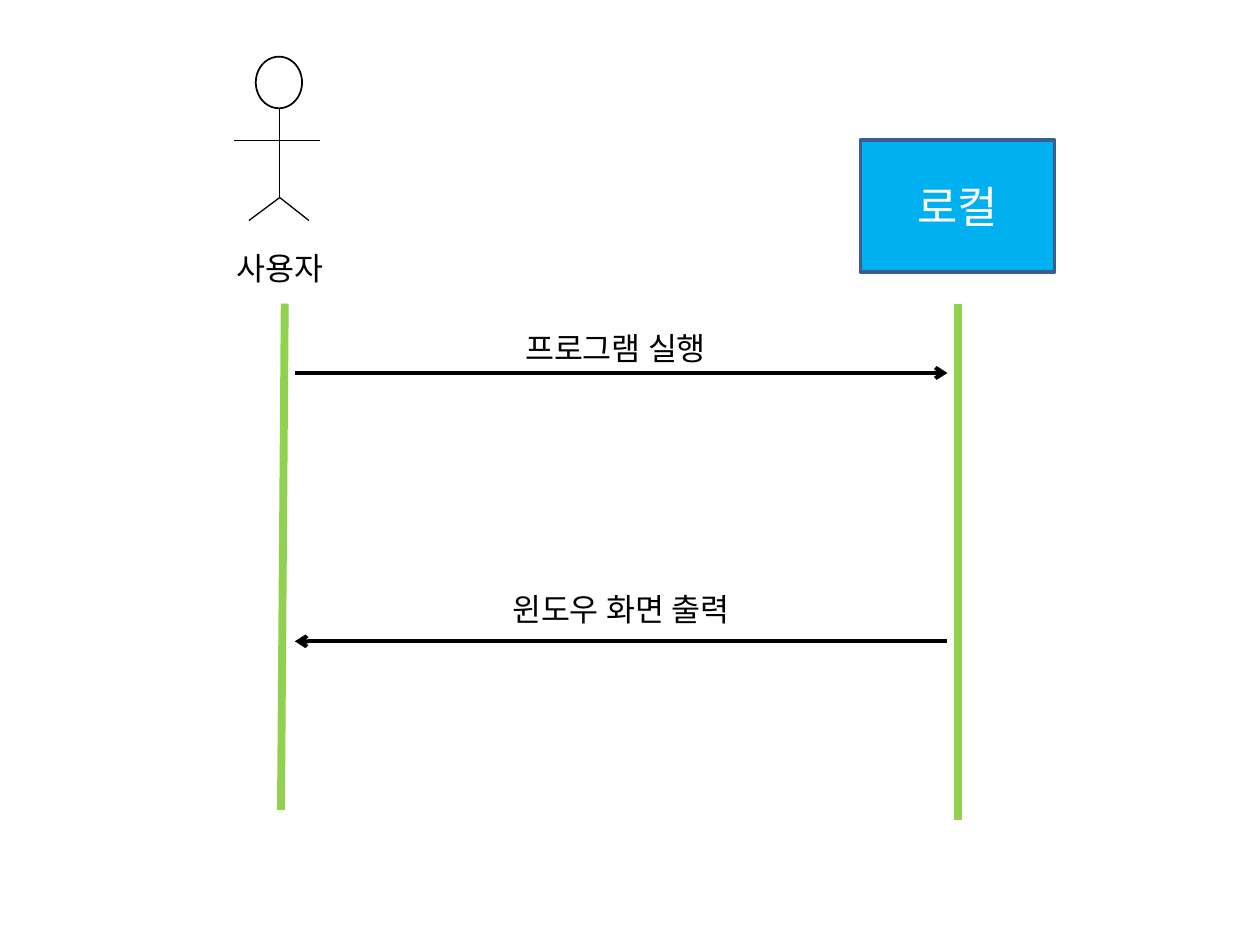
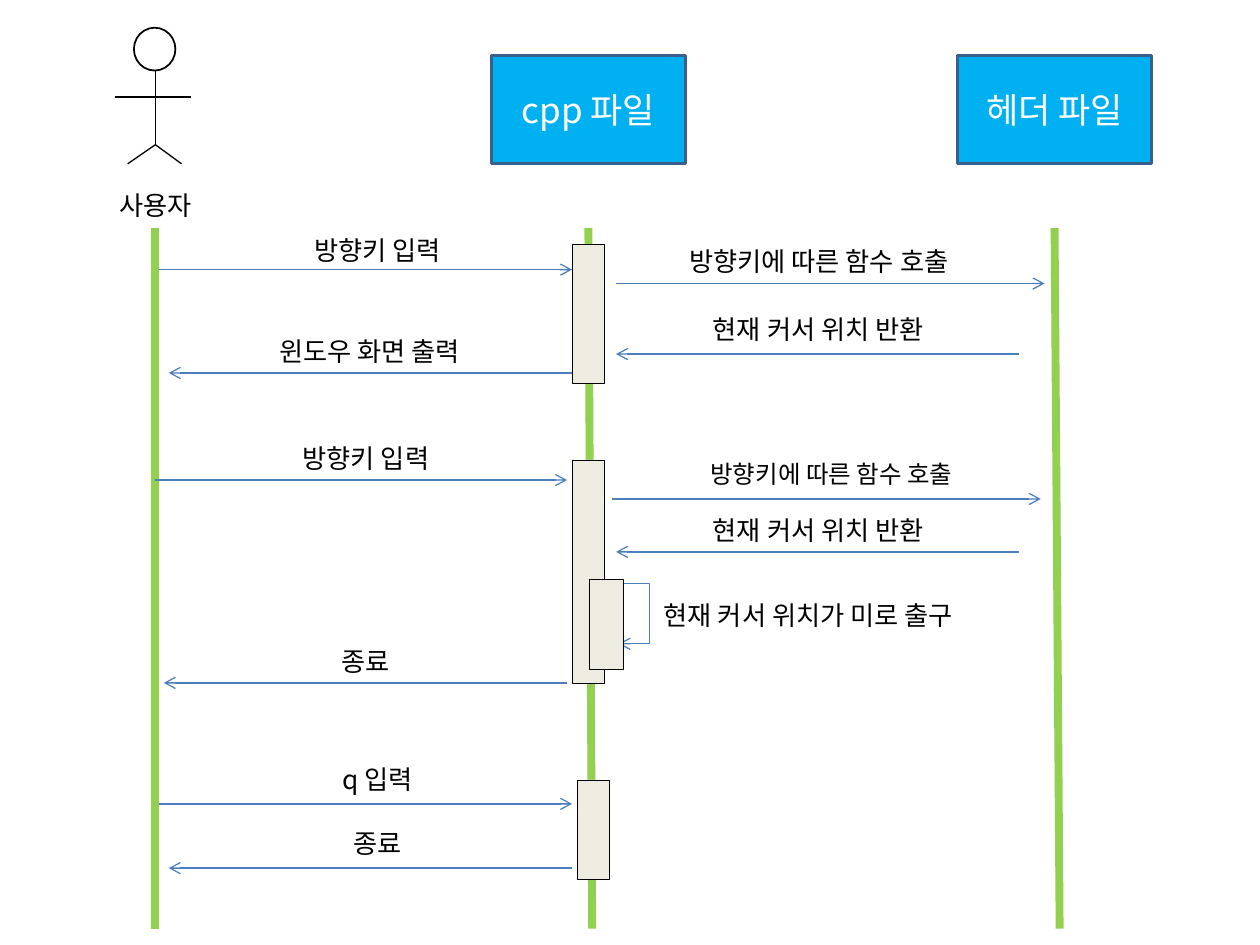
from pptx import Presentation
from pptx import util as u
from pptx.dml.color import RGBColor
from pptx.enum import shapes, text
from pptx.oxml import parse_xml
from pptx.oxml.ns import nsdecls, qn

COLORS = {
    "ink": "000000", "white": "FFFFFF", "box": "00B0F0", "box_line": "3A5F8C",
    "life": "92D050", "message": "4B7EBC", "bar": "EEECE1",
}
FONT = "Noto Sans CJK KR"
COLS, ROWS = 100, 75  # grid cells across and down the slide


def rgb(name):
    return RGBColor.from_string(COLORS[name])


class Sequence:
    """Draws sequence diagrams; all lengths are grid columns and rows."""

    def __init__(self, prs):
        self.prs = prs
        self.col = prs.slide_width / COLS
        self.row = prs.slide_height / ROWS

    def new_slide(self, size, color, weight):
        self.s = self.prs.slides.add_slide(self.prs.slide_layouts[6])
        self.size, self.color, self.weight = size, color, weight

    def place(self, *lengths):
        return [round(n * (self.row if i % 2 else self.col))
                for i, n in enumerate(lengths)]

    def add_words(self, sp, words, size, color, align=text.PP_ALIGN.CENTER):
        tf = sp.text_frame
        tf.word_wrap = True
        p = tf.paragraphs[0]
        p.alignment = align
        r = p.add_run()
        r.text = words
        r.font.name, r.font.size = FONT, u.Pt(size)
        r.font.color.rgb = rgb(color)
        r.font._element.append(
            parse_xml(f'<a:ea {nsdecls("a")} typeface="{FONT}"/>'))

    def shape(self, kind, x, y, w, h, fill, line, weight):
        sp = self.s.shapes.add_shape(kind, *self.place(x, y, w, h))
        sp.shadow.inherit = False
        if fill:
            sp.fill.solid()
            sp.fill.fore_color.rgb = rgb(fill)
        else:
            sp.fill.background()
        sp.line.color.rgb = rgb(line)
        sp.line.width = u.Pt(weight)
        return sp

    def line(self, x1, y1, x2, y2, color="ink", weight=0.75, arrow=False,
             kind=shapes.MSO_CONNECTOR.STRAIGHT):
        c = self.s.shapes.add_connector(kind, *self.place(x1, y1, x2, y2))
        c.line.color.rgb = rgb(color)
        c.line.width = u.Pt(weight)
        if arrow:
            c.line._get_or_add_ln().append(
                parse_xml(f'<a:tailEnd {nsdecls("a")} type="arrow"/>'))
        c._element.spPr.append(parse_xml(f'<a:effectLst {nsdecls("a")}/>'))
        return c

    def label(self, x, y, w, words, size=None, align=text.PP_ALIGN.CENTER):
        size = size or self.size
        sp = self.s.shapes.add_textbox(*self.place(x, y, w, size / 5 + 0.4))
        self.add_words(sp, words, size, "ink", align)
        sp.text_frame.auto_size = text.MSO_AUTO_SIZE.SHAPE_TO_FIT_TEXT

    def actor(self, x, y, w, h):
        """Stick figure whose parts are shares of its width and height."""
        self.shape(shapes.MSO_SHAPE.OVAL, x + 0.25 * w, y, 0.54 * w,
                   0.315 * h, None, "ink", 1)
        spine, arms, hip = x + 0.53 * w, y + 0.51 * h, y + 0.86 * h
        self.line(spine, y + 0.315 * h, spine, hip)
        for hand, foot in ((0, 0.17), (1, 0.87)):
            self.line(spine, hip, x + foot * w, y + h)
            self.line(x + 0.58 * w, arms, x + hand * w, arms)

    def box(self, x, y, h, words, size):
        sp = self.shape(shapes.MSO_SHAPE.RECTANGLE, x, y, 15.4, h,
                        "box", "box_line", 2)
        sp.text_frame.vertical_anchor = text.MSO_ANCHOR.MIDDLE
        self.add_words(sp, words, size, "white")

    def lifeline(self, x1, x2, top, bottom):
        self.line(x1, top, x2, bottom, "life", 4.5)

    def bar(self, x, y, h, w=2.6):
        self.shape(shapes.MSO_SHAPE.RECTANGLE, x, y, w, h, "bar", "ink", 0.25)

    def message(self, x1, x2, y, words, left, top, width, size=None):
        self.line(x1, y, x2, y, self.color, self.weight, True)
        self.label(left, top, width, words, size)

    def self_message(self, x1, y1, x2, y2, reach, drop):
        """Loop back to the same bar: a four-part elbow turned upright."""
        c = self.line(x1, y1, x2, y2, self.color, self.weight, True,
                      shapes.MSO_CONNECTOR.ELBOW)
        c._element.spPr.find(qn("a:xfrm")).set("rot", str(270 * 60000))
        geom = c._element.spPr.find(qn("a:prstGeom"))
        geom.set("prst", "bentConnector4")
        guides = geom.get_or_add_avLst()
        for name, share in (("adj1", drop), ("adj2", reach)):
            guides.append(parse_xml(
                f'<a:gd {nsdecls("a")} name="{name}" '
                f'fmla="val {round(share * 100000)}"/>'))


prs = Presentation()
prs.slide_width, prs.slide_height = u.Inches(10), u.Inches(7.5)
d = Sequence(prs)

# Slide 1: starting the program
d.new_slide(18, "ink", 2.25)
d.actor(18.6, 4.5, 6.8, 13)
d.label(17.1, 19.3, 10.2, "사용자")
d.box(68.3, 11.1, 10.5, "로컬", 25)
d.lifeline(22.6, 22.3, 24.1, 64.3)
d.lifeline(76, 76, 24.1, 65.1)
d.message(23.4, 75.2, 29.6, "프로그램 실행", 33.5, 25.6, 30.7)
d.message(75.2, 23.4, 50.9, "윈도우 화면 출력", 33.9, 46.3, 30.7)

# Slide 2: moving the cursor and quitting
d.new_slide(15, "message", 0.75)
d.self_message(51.3, 47.3, 45.3, 48.9, reach=2.54, drop=0.2)
d.actor(9.1, 2.2, 6.1, 10.8)
d.label(7.8, 14.5, 9.1, "사용자")
for x, words in ((39, "cpp 파일"), (76, "헤더 파일")):
    d.box(x, 4.4, 8.6, words, 20)
for x1, x2 in ((12.3, 12.3), (46.7, 47), (83.7, 84.1)):
    d.lifeline(x1, x2, 18.1, 73.7)

# Activation bars, the nested one last
for x, y, h in ((45.4, 19.4, 11), (45.4, 36.5, 17.7), (45.8, 61.9, 7.9)):
    d.bar(x, y, h)
d.bar(46.8, 46, 7.1, 2.7)

# Messages between user and cpp file: from, to, row, words, label left and top
for x1, x2, y, words, left, top in (
        (12.6, 45.4, 21.4, "방향키 입력", 19.3, 18.1),
        (45.4, 13.4, 29.6, "윈도우 화면 출력", 18.7, 26.1),
        (12.3, 45, 38.1, "방향키 입력", 18.4, 34.6),
        (45, 13, 54.2, "종료", 18.4, 50.7),
        (12.6, 45.4, 63.8, "q 입력", 19.3, 60.1),
        (45.4, 13.4, 68.9, "종료", 19.3, 65.2)):
    d.message(x1, x2, y, words, left, top, 21.3)

# Messages between cpp file and header file
d.message(48.9, 82.9, 22.5, "방향키에 따른 함수 호출", 51.7, 19, 26.6)
d.message(48.6, 82.6, 39.6, "방향키에 따른 함수 호출", 53.6, 35.9, 24.8, 14)
for y, top in ((28.1, 24.4), (43.8, 40.3)):
    d.message(80.9, 48.9, y, "현재 커서 위치 반환", 54.3, top, 21.3)
d.label(51.7, 47.1, 30.9, "현재 커서 위치가 미로 출구",
        align=text.PP_ALIGN.LEFT)

prs.save("out.pptx")
